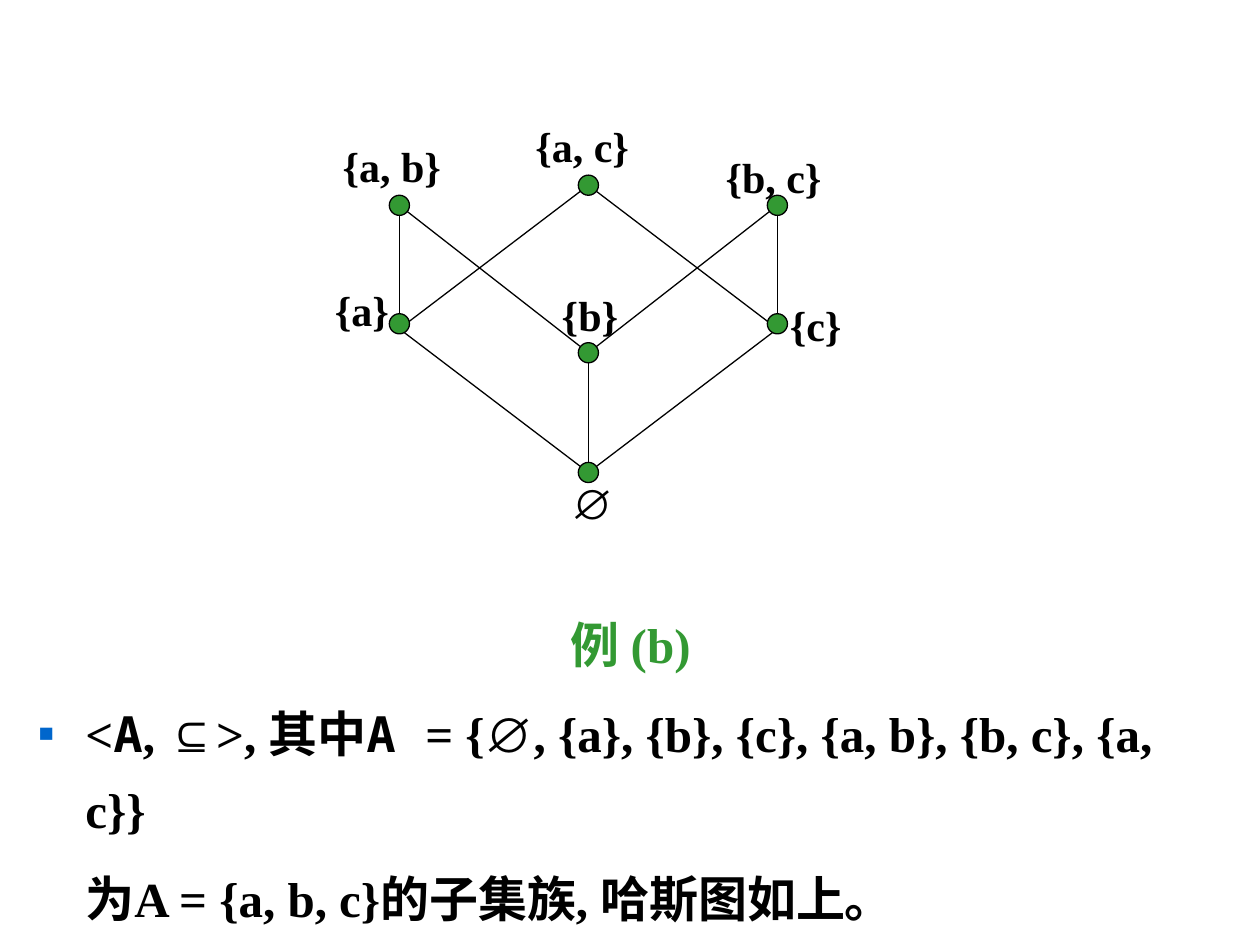
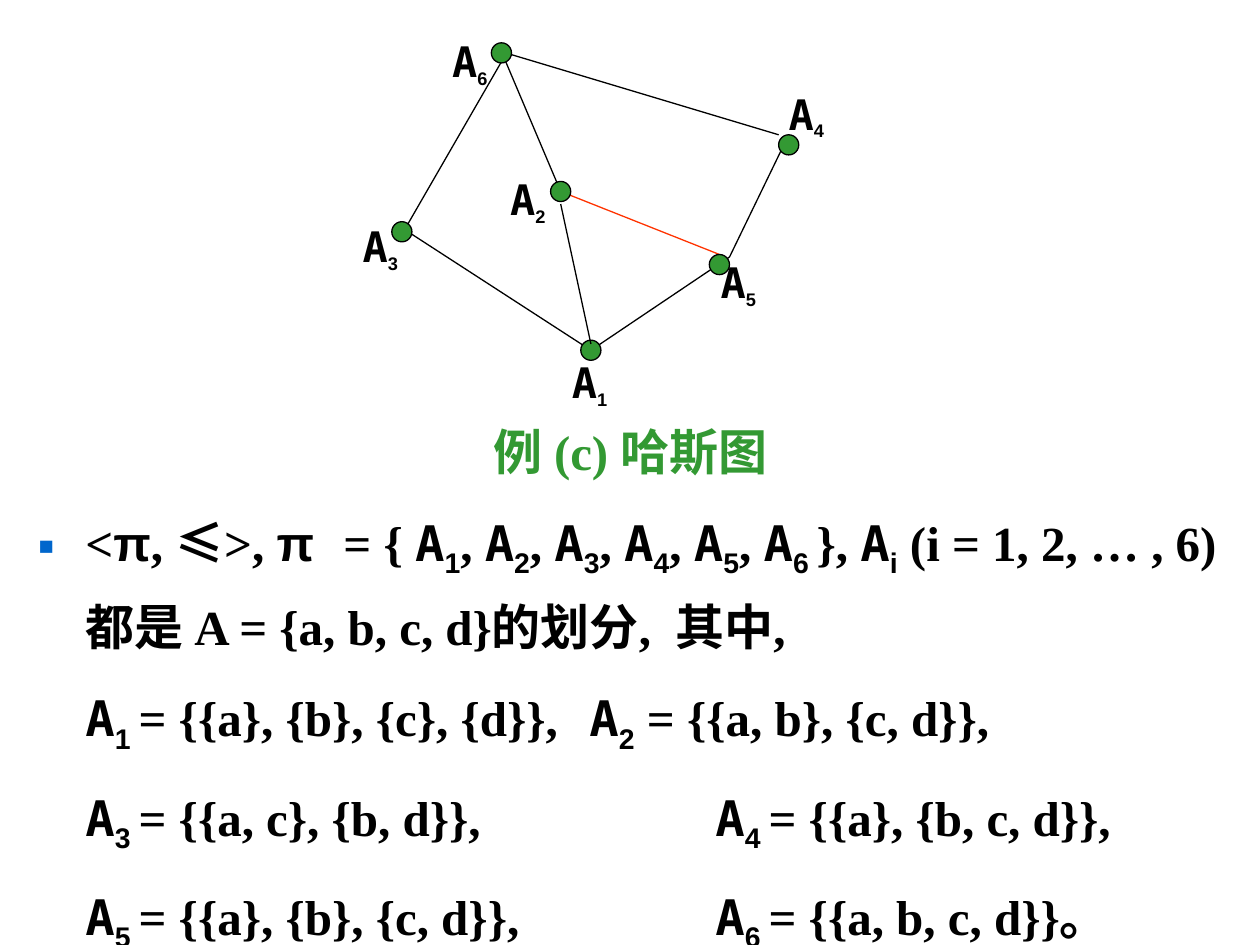
from lxml import etree
from pptx import Presentation
from pptx.dml.color import RGBColor
from pptx.enum.shapes import MSO_CONNECTOR, MSO_SHAPE
from pptx.enum.text import MSO_ANCHOR, MSO_AUTO_SIZE, PP_ALIGN
from pptx.oxml.ns import qn
from pptx.util import Inches, Pt

LINE, DIAMOND, OVAL = MSO_CONNECTOR.STRAIGHT, MSO_SHAPE.DIAMOND, MSO_SHAPE.OVAL
GROW, TOP = MSO_AUTO_SIZE.SHAPE_TO_FIT_TEXT, MSO_ANCHOR.TOP
LEFT, CENTER = PP_ALIGN.LEFT, PP_ALIGN.CENTER

BLACK = RGBColor(0x00, 0x00, 0x00)
GREEN = RGBColor(0x33, 0x99, 0x33)
RED = RGBColor(0xFF, 0x33, 0x00)
BULLET = "0066CC"

SERIF, MONO, SANS, CJK = "Times New Roman", "DejaVu Sans Mono", "Arial", "Noto Sans CJK SC"
SUB = "subscript"

DOT = 0.16
BODY_LEFT, BODY_WIDTH, INDENT, TAB = 0.2, 9.61, 0.38, 1


def var(index):
    return [("A", MONO), (index, SUB)]


def equation(index, value):
    return var(index + " ") + [("= " + value, SERIF)]


SUBSET_NODES = {
    "a": (3.17, 2.57), "ab": (3.17, 1.63), "ac": (4.67, 1.47), "empty": (4.67, 3.75),
    "b": (4.67, 2.8), "c": (6.17, 2.57), "bc": (6.17, 1.63),
}
SUBSET_EDGES = [("a", "ab"), ("ab", "b"), ("b", "bc"), ("empty", "b"), ("c", "bc")]
SUBSET_LABELS = [
    ("{a}", SERIF, 2.56, 2.21, 0.63), ("{b}", SERIF, 4.36, 2.25, 0.65),
    ("{c}", SERIF, 6.17, 2.33, 0.61), ("{a, b}", SERIF, 2.62, 1.07, 0.98),
    ("{a, c}", SERIF, 4.15, 0.91, 1), ("{b, c}", SERIF, 5.66, 1.15, 0.98),
    ("∅", SANS, 4.44, 3.74, 0.46),
]
SUBSET_TITLE = "例 (b)"
SUBSET_BODY = [
    [("<", SERIF), ("A", MONO), (", ", SERIF), ("⊆", SANS), (">, 其中", SERIF),
     ("A ", MONO), ("= {", SERIF), ("∅", SANS),
     (", {a}, {b}, {c}, {a, b}, {b, c}, {a, c}}", SERIF)],
    [("\t为A = {a, b, c}的子集族, 哈斯图如上。", SERIF)],
]

PARTITION_NODES = {
    "3": (3.19, 1.84), "6": (3.98, 0.42), "1": (4.69, 2.78),
    "2": (4.45, 1.52), "5": (5.71, 2.1), "4": (6.26, 1.15),
}
PARTITION_EDGES = [
    ((4.69, 2.78), (3.27, 1.86), BLACK), ((3.19, 1.86), (3.98, 0.49), BLACK),
    ((4.45, 1.52), (3.98, 0.41), BLACK), ((3.98, 0.41), (6.18, 1.07), BLACK),
    ((6.26, 1.07), (5.79, 2.04), BLACK), ((4.45, 1.52), (5.71, 2.02), RED),
    ((4.69, 2.78), (5.79, 2.04), BLACK),
]
FRONT_EDGE = (4.45, 1.62), (4.69, 2.73)
PARTITION_LABELS = {
    "1": (4.44, 2.78), "3": (2.78, 1.7), "5": (5.62, 1.99),
    "2": (3.95, 1.33), "4": (6.16, 0.65), "6": (3.49, 0.23),
}
PARTITION_TITLE = "例 (c) 哈斯图"
COMMA = [(", ", SERIF)]
PARTITION_BODY = [
    [("<", SERIF), ("π", SANS), (", ", SERIF), ("≤", CJK), (">, ", SERIF),
     ("π", SANS), (" ", MONO), ("= { ", SERIF)]
    + [run for i in "12345" for run in var(i) + COMMA]
    + var("6 ") + [("}, ", SERIF)] + var("i")
    + [(" (i = 1, 2, … , 6)都是 A = {a, b, c, d}的划分,  其中,", SERIF)],
    [("\t", MONO)] + equation("1", "{{a}, {b}, {c}, {d}}, \t")
    + var("2") + [(" = {{a, b}, {c, d}},", SERIF)],
    [("\t", SERIF)] + equation("3", "{{a, c}, {b, d}}, \t\t")
    + equation("4", "{{a}, {b, c, d}},"),
    [("\t", SERIF)] + equation("5", "{{a}, {b}, {c, d}}, \t\t")
    + equation("6", "{{a, b, c, d}}。"),
]


def add_runs(p, runs, size=28, sub_size=28, color=BLACK):
    for text, style in runs:
        r = p.add_run()
        r.text = text
        r.font.size = Pt(sub_size if style == SUB else size)
        r.font.bold = True
        r.font.color.rgb = color
        r.font.name = SANS if style == SUB else style
        rpr = r.font._element
        etree.SubElement(rpr, qn("a:ea")).set("typeface", CJK)
        if style == SUB:
            rpr.set("baseline", "-25000")


def add_box(s, x, y, w, h, wrap):
    tf = s.shapes.add_textbox(Inches(x), Inches(y), Inches(w), Inches(h)).text_frame
    tf.word_wrap = wrap
    tf.vertical_anchor = TOP
    return tf


def add_label(s, runs, x, y, w, h):
    tf = add_box(s, x, y, w, h, False)
    tf.auto_size = GROW
    add_runs(tf.paragraphs[0], runs, size=24, sub_size=18)


def format_paragraph(p, align=LEFT, spacing=1.3, before=7, bullet=False):
    p.alignment = align
    p.line_spacing = spacing
    p.space_before = Pt(before)
    ppr = p._p.get_or_add_pPr()
    ppr.set("marL", str(Inches(INDENT)))
    ppr.set("indent", str(-Inches(INDENT)))
    ppr.set("defTabSz", str(Inches(TAB)))
    if bullet:
        color = etree.SubElement(ppr, qn("a:buClr"))
        etree.SubElement(color, qn("a:srgbClr")).set("val", BULLET)
        etree.SubElement(ppr, qn("a:buFont")).set("typeface", SANS)
        etree.SubElement(ppr, qn("a:buChar")).set("char", "▪")
    else:
        etree.SubElement(ppr, qn("a:buNone"))


def add_body(s, title, paragraphs, top, height, title_spacing):
    tf = add_box(s, BODY_LEFT, top, BODY_WIDTH, height, True)
    p = tf.paragraphs[0]
    format_paragraph(p, align=CENTER, spacing=title_spacing, before=0)
    add_runs(p, [(title, SERIF)], color=GREEN)
    for i, runs in enumerate(paragraphs):
        p = tf.add_paragraph()
        format_paragraph(p, bullet=i == 0)
        add_runs(p, runs)


def add_edge(s, start, end, color=BLACK):
    c = s.shapes.add_connector(LINE, *map(Inches, start + end))
    c.line.color.rgb = color
    c.line.width = Pt(0.75)
    etree.SubElement(c._element.spPr, qn("a:effectLst"))


def add_outlined(s, kind, x, y, w, h, fill=None):
    sp = s.shapes.add_shape(kind, *map(Inches, (x, y, w, h)))
    sp.shadow.inherit = False
    sp.line.color.rgb = BLACK
    sp.line.width = Pt(0.75)
    if fill is None:
        sp.fill.background()
    else:
        sp.fill.solid()
        sp.fill.fore_color.rgb = fill


def add_dots(s, nodes):
    for x, y in nodes.values():
        add_outlined(s, OVAL, x - DOT / 2, y - DOT / 2, DOT, DOT, GREEN)


def subset_slide(s):
    add_body(s, SUBSET_TITLE, SUBSET_BODY, 4.69, 2.36, 1.3)
    nodes = SUBSET_NODES
    left, top = nodes["a"][0], nodes["ac"][1]
    add_outlined(s, DIAMOND, left, top, nodes["c"][0] - left, nodes["empty"][1] - top)
    for start, end in SUBSET_EDGES:
        add_edge(s, nodes[start], nodes[end])
    add_dots(s, nodes)
    for text, font, x, y, w in SUBSET_LABELS:
        add_label(s, [(text, font)], x, y, w, 0.5)


def partition_slide(s):
    for start, end, color in PARTITION_EDGES:
        add_edge(s, start, end, color)
    add_dots(s, PARTITION_NODES)
    for index, (x, y) in PARTITION_LABELS.items():
        add_label(s, var(index), x, y, 0.58, 0.53)
    add_body(s, PARTITION_TITLE, PARTITION_BODY, 3.2, 4.3, 1.2)
    add_edge(s, *FRONT_EDGE)


def main():
    prs = Presentation()
    prs.slide_width, prs.slide_height = Inches(10), Inches(7.5)
    for build in (subset_slide, partition_slide):
        build(prs.slides.add_slide(prs.slide_layouts[6]))
    prs.save("out.pptx")


if __name__ == "__main__":
    main()
